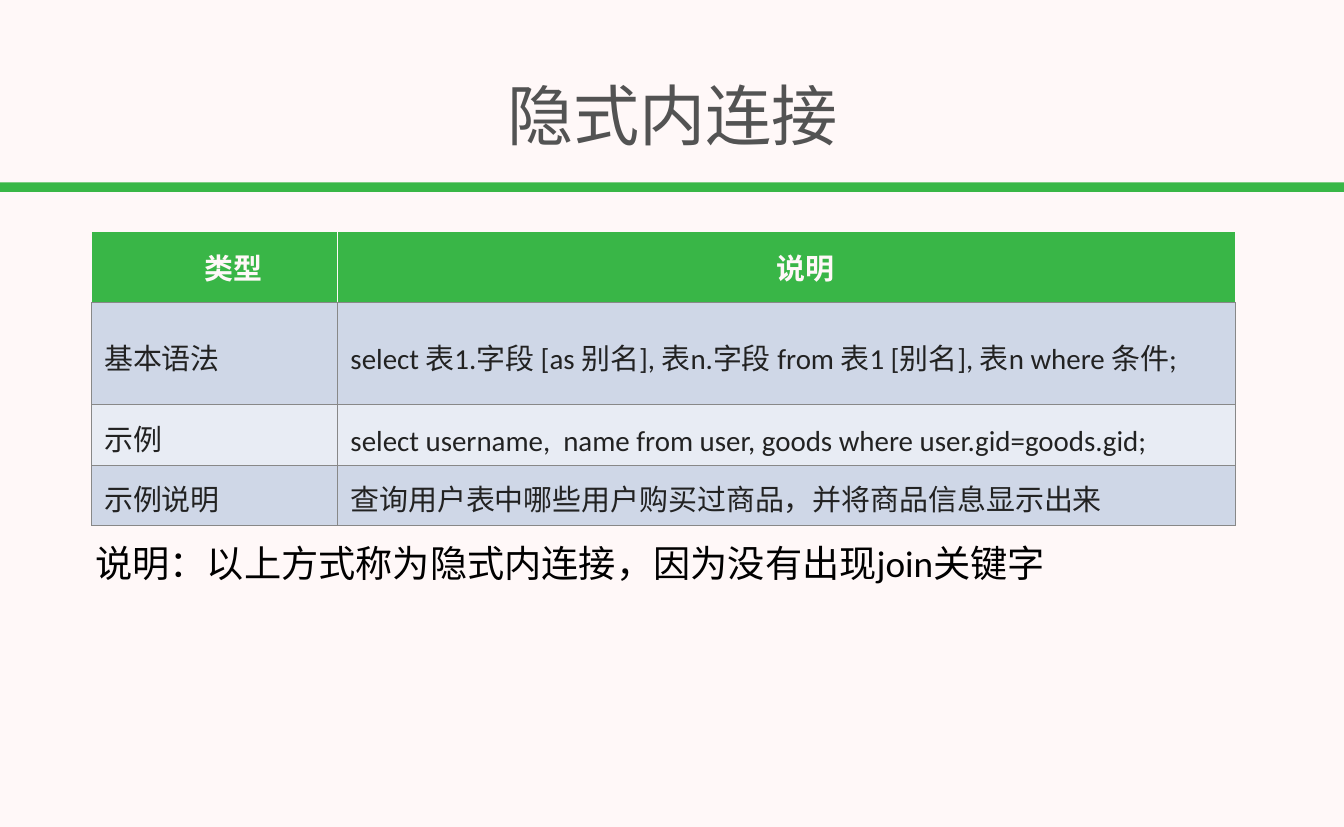
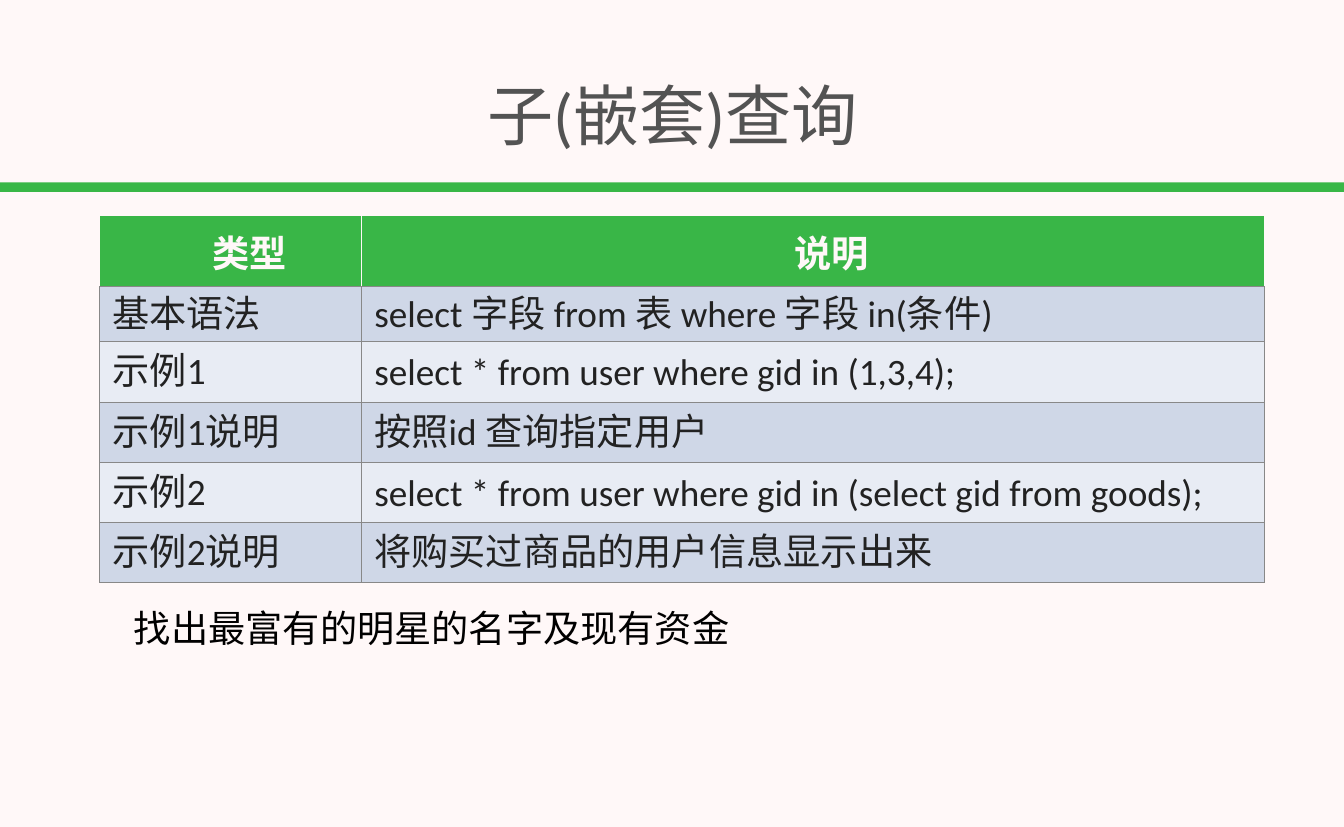
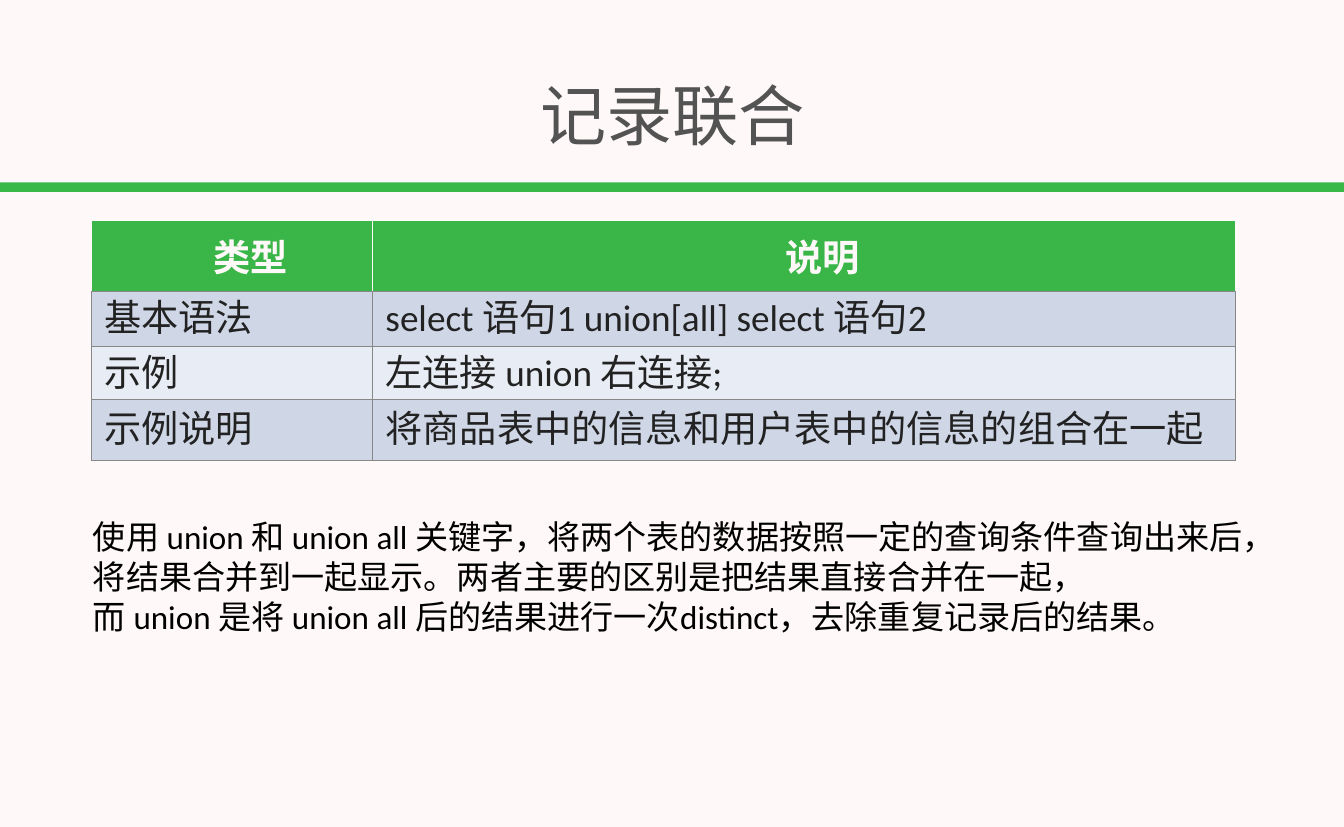
from lxml import etree
from pptx import Presentation
from pptx.dml.color import RGBColor
from pptx.enum.shapes import MSO_SHAPE
from pptx.enum.text import MSO_ANCHOR, MSO_AUTO_SIZE, PP_ALIGN
from pptx.oxml.ns import qn
from pptx.util import Inches, Pt

RECT = MSO_SHAPE.RECTANGLE
MIDDLE = MSO_ANCHOR.MIDDLE
TOP = MSO_ANCHOR.TOP
CENTER = PP_ALIGN.CENTER
LEFT = PP_ALIGN.LEFT
NO_FIT = MSO_AUTO_SIZE.NONE
GROW = MSO_AUTO_SIZE.SHAPE_TO_FIT_TEXT

WIDTH, HEIGHT = 18.06, 11.11
FONT = "Calibri"
PAPER = "FFF8F8"
BAND = "39B747"
HEADER = "39B647"
TITLE = "535353"
BODY = "222222"
NOTE = "000000"
RULE = "888888"
STRIPES = ("CFD7E7", "E8ECF4")
HEADINGS = ("类型", "说明")


def rgb(value):
    return RGBColor.from_string(value)


def fill(target, color):
    target.fill.solid()
    target.fill.fore_color.rgb = rgb(color)


def set_margins(target, across, down):
    target.margin_left = target.margin_right = Inches(across)
    target.margin_top = target.margin_bottom = Inches(down)


def format_text(tf, size, color, bold=False, align=LEFT):
    for p in tf.paragraphs:
        p.alignment = align
        for r in p.runs:
            r.font.name = FONT
            r.font.size = Pt(size)
            r.font.bold = bold
            r.font.color.rgb = rgb(color)


def set_borders(cell, **colors):
    tc_pr = cell._tc.get_or_add_tcPr()
    for side in "LRTB":
        ln = etree.SubElement(tc_pr, qn(f"a:ln{side}"), w=str(Pt(1)))
        solid = etree.SubElement(ln, qn("a:solidFill"))
        etree.SubElement(solid, qn("a:srgbClr"), val=colors.get(side, RULE))


def add_band(s):
    band = s.shapes.add_shape(RECT, Inches(0), Inches(2.45), Inches(WIDTH), Inches(0.13))
    band.shadow.inherit = False
    fill(band, BAND)
    band.line.fill.background()


def set_title(s, text):
    title = s.shapes.title
    title.left, title.top = Inches(0.05), Inches(0.82)
    title.width, title.height = Inches(17.97), Inches(1.42)
    tf = title.text_frame
    tf.text = text
    tf.auto_size = NO_FIT
    tf.vertical_anchor = MIDDLE
    set_margins(tf, 0.05, 0.05)
    format_text(tf, 64, TITLE, align=CENTER)


def add_titled_slide(prs, text):
    s = prs.slides.add_slide(prs.slide_layouts[5])
    add_band(s)
    set_title(s, text)
    return s


def format_header(cell, size):
    set_margins(cell, 0, 0)
    set_borders(cell, L=PAPER, R=PAPER, T=PAPER)
    fill(cell, HEADER)
    format_text(cell.text_frame, size, PAPER, bold=True, align=CENTER)
    p_pr = cell.text_frame.paragraphs[0]._p.get_or_add_pPr()
    p_pr.set("marL", "0")
    p_pr.set("indent", str(Inches(0.5)))


def format_body(cell, size, color):
    set_margins(cell, 0.17, 0.04)
    set_borders(cell)
    fill(cell, color)
    format_text(cell.text_frame, size, BODY)
    cell.text_frame.paragraphs[0].line_spacing = Pt(46)


def add_syntax_table(s, left, top, widths, heights, size, rows):
    rows = [HEADINGS, *rows]
    frame = s.shapes.add_table(len(rows), len(widths), Inches(left), Inches(top),
                               Inches(sum(widths)), Inches(sum(heights)))
    table = frame.table
    for column, width in zip(table.columns, widths):
        column.width = Inches(width)
    for i, (texts, height) in enumerate(zip(rows, heights)):
        table.rows[i].height = Inches(height)
        for j, text in enumerate(texts):
            cell = table.cell(i, j)
            cell.text = text
            cell.vertical_anchor = MIDDLE
            if i == 0:
                format_header(cell, size)
            else:
                format_body(cell, size, STRIPES[(i - 1) % 2])


def add_note(s, left, top, width, height, size, text):
    box = s.shapes.add_textbox(Inches(left), Inches(top), Inches(width), Inches(height))
    tf = box.text_frame
    tf.text = text
    tf.word_wrap = True
    tf.auto_size = GROW
    tf.vertical_anchor = TOP
    set_margins(tf, 0.05, 0.05)
    format_text(tf, size, NOTE)


def main():
    prs = Presentation()
    prs.slide_width, prs.slide_height = Inches(WIDTH), Inches(HEIGHT)
    fill(prs.slide_master.background, PAPER)

    s = add_titled_slide(prs, "隐式内连接")
    add_syntax_table(s, 1.23, 3.11, (3.31, 12.06), (0.95, 1.38, 0.81, 0.81), 28, [
        ("基本语法", "select 表1.字段 [as 别名], 表n.字段 from 表1 [别名], 表n where 条件;"),
        ("示例", "select username,  name from user, goods where user.gid=goods.gid;"),
        ("示例说明", "查询用户表中哪些用户购买过商品，并将商品信息显示出来"),
    ])
    add_note(s, 1.23, 7.21, 12.99, 1.3, 36,
             "说明：以上方式称为隐式内连接，因为没有出现join关键字")

    s = add_titled_slide(prs, "子(嵌套)查询")
    add_syntax_table(s, 1.34, 2.9, (3.52, 12.13), (0.95, 0.74) + (0.81,) * 4, 36, [
        ("基本语法", "select 字段 from 表 where 字段 in(条件)"),
        ("示例1", "select * from user where gid in (1,3,4);"),
        ("示例1说明", "按照id 查询指定用户"),
        ("示例2", "select * from user where gid in (select gid from goods);"),
        ("示例2说明", "将购买过商品的用户信息显示出来"),
    ])
    add_note(s, 1.75, 8.08, 8.19, 0.71, 36, "找出最富有的明星的名字及现有资金")

    s = add_titled_slide(prs, "记录联合")
    add_syntax_table(s, 1.23, 2.96, (3.78, 11.59), (0.95, 0.74, 0.72, 0.81), 36, [
        ("基本语法", "select 语句1 union[all] select 语句2"),
        ("示例", "左连接 union 右连接;"),
        ("示例说明", "将商品表中的信息和用户表中的信息的组合在一起"),
    ])
    add_note(s, 1.2, 6.89, 15.8, 2.25, 32, "\n".join((
        "使用 union 和 union all 关键字，将两个表的数据按照一定的查询条件查询出来后，",
        "将结果合并到一起显示。两者主要的区别是把结果直接合并在一起，",
        "而 union 是将 union all 后的结果进行一次distinct，去除重复记录后的结果。",
    )))

    prs.save("out.pptx")


if __name__ == "__main__":
    main()
